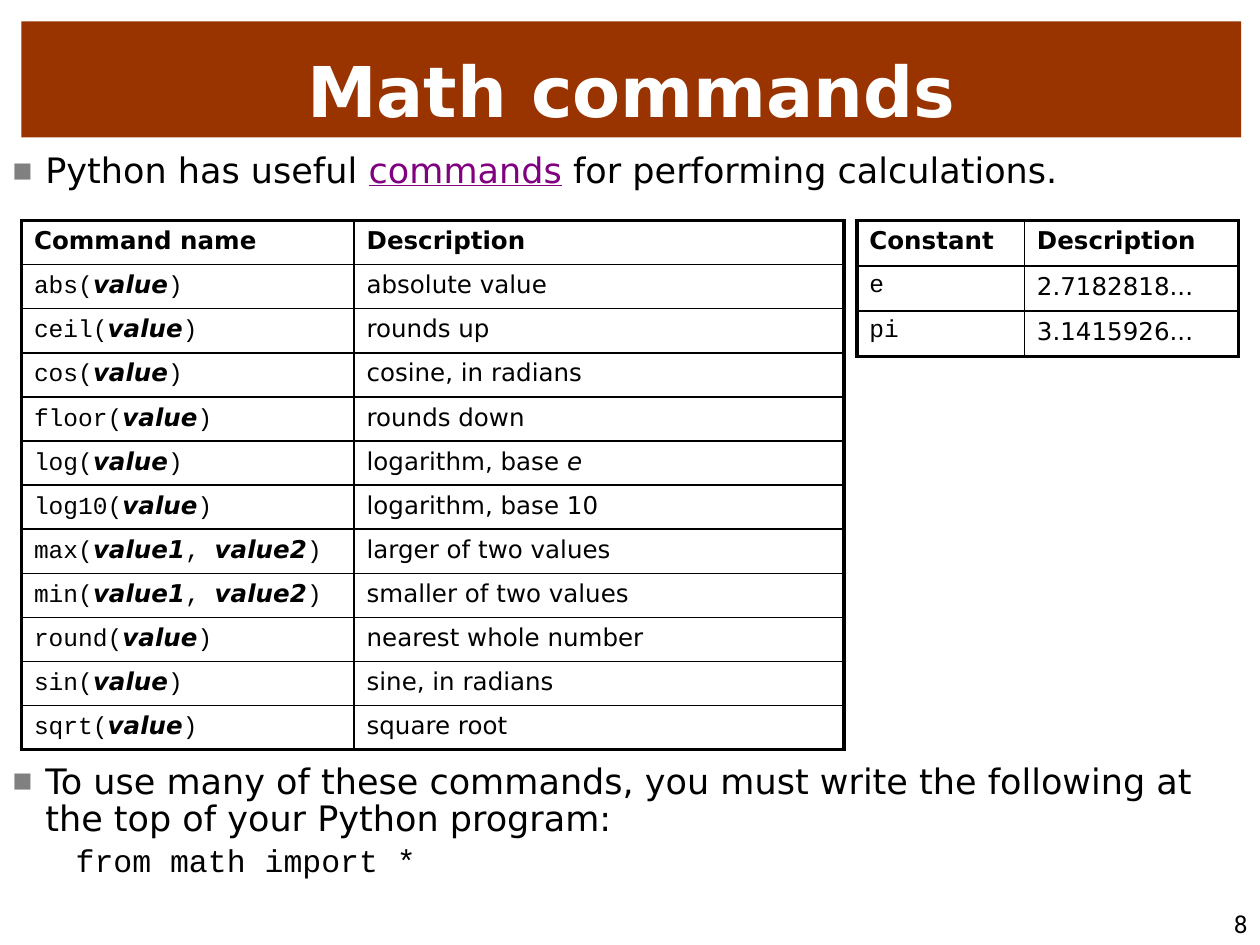
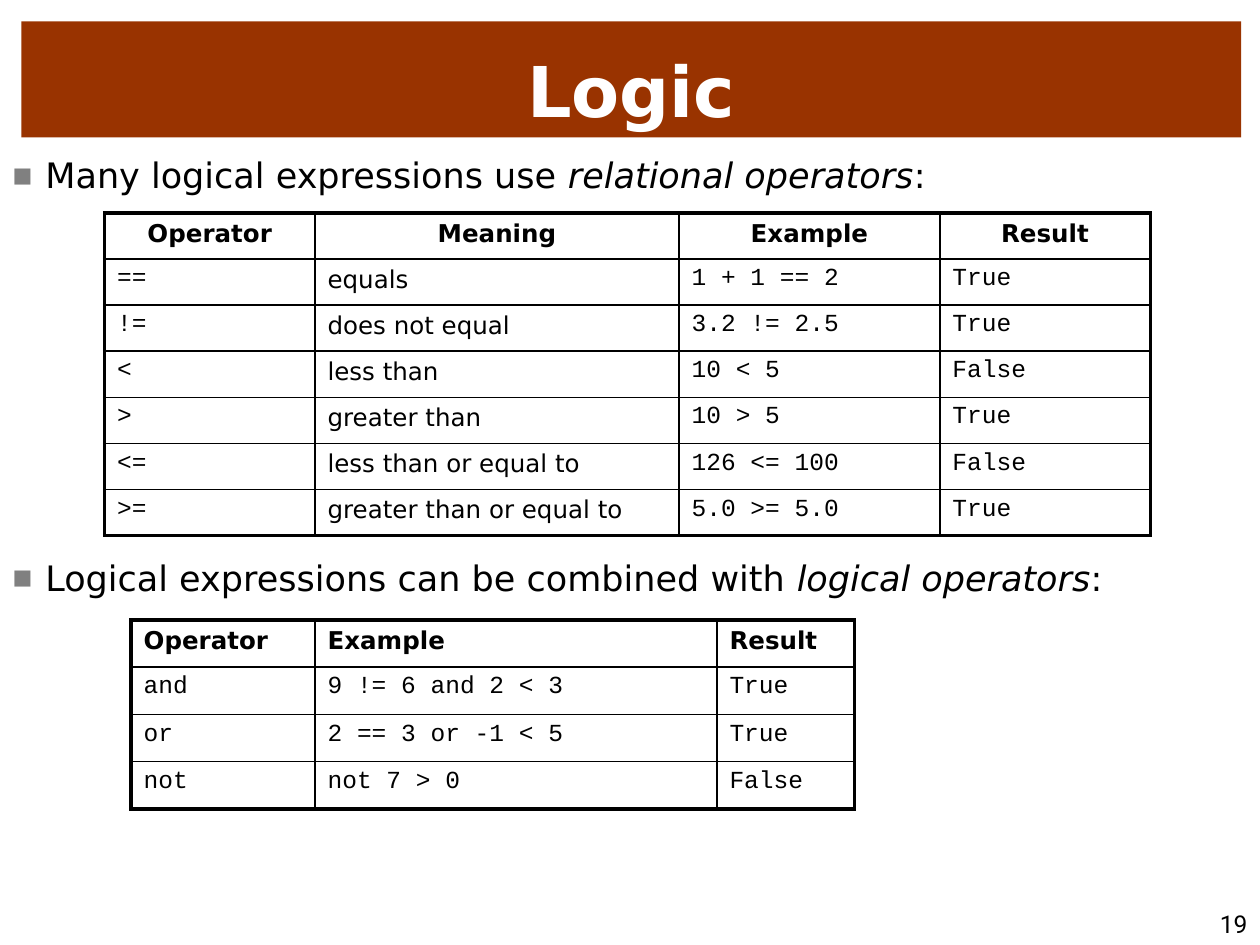
from pptx import Presentation
from pptx.dml.color import RGBColor
from pptx.enum import text as t
from pptx.oxml.ns import qn
from pptx.util import Inches, Pt
from lxml import etree

# Shared look
BAND = RGBColor(0x99, 0x33, 0x00)
WHITE = RGBColor(0xFF, 0xFF, 0xFF)
BLACK = RGBColor(0, 0, 0)
GRAY = RGBColor(0x80, 0x80, 0x80)
LINK = RGBColor(0x80, 0, 0x80)
SANS, MONO, NUMBER = "DejaVu Sans", "Courier New", "Roboto"
THICK, THIN = Pt(2.25), Pt(1)

# Run styles used in the content
PLAIN = dict(font=SANS)
CODE = dict(font=MONO)
BOLD = dict(font=SANS, bold=True)
ITALIC = dict(font=SANS, italic=True)
ARG = dict(font=SANS, bold=True, italic=True)
LINKED = dict(font=SANS, color=LINK, underline=True)


def call(name, *args):
    """Runs for a command such as max(value1, value2)."""
    runs = [(name + "(", CODE)]
    for i, arg in enumerate(args):
        if i:
            runs.append((", ", CODE))
        runs.append((arg, ARG))
    return runs + [(")", CODE)]


# Content: a cell is a string in its column's style, or a list of runs
COMMANDS = [
    (call("abs", "value"), "absolute value"),
    (call("ceil", "value"), "rounds up"),
    (call("cos", "value"), "cosine, in radians"),
    (call("floor", "value"), "rounds down"),
    (call("log", "value"), [("logarithm, base ", PLAIN), ("e", ITALIC)]),
    (call("log10", "value"), "logarithm, base 10"),
    (call("max", "value1", "value2"), "larger of two values"),
    (call("min", "value1", "value2"), "smaller of two values"),
    (call("round", "value"), "nearest whole number"),
    (call("sin", "value"), "sine, in radians"),
    (call("sqrt", "value"), "square root"),
]
CONSTANTS = [("e", "2.7182818..."), ("pi", "3.1415926...")]
RELATIONAL = [
    ("==", "equals", "1 + 1 == 2", "True"),
    ("!=", "does not equal", "3.2 != 2.5", "True"),
    ("<", "less than", "10 < 5", "False"),
    (">", "greater than", "10 > 5", "True"),
    ("<=", "less than or equal to", "126 <= 100", "False"),
    (">=", "greater than or equal to", "5.0 >= 5.0", "True"),
]
LOGICAL = [
    ("and", "9 != 6 and 2 < 3", "True"),
    ("or", "2 == 3 or -1 < 5", "True"),
    ("not", "not 7 > 0", "False"),
]

# Body paragraphs: (kind, space before in points, runs)
SLIDES = [
    dict(
        title="Math commands", number="8", line_spacing=0.9,
        body=[
            ("bullet", 0, [("Python has useful ", PLAIN), ("commands", LINKED),
                           (" for performing calculations.", PLAIN)]),
            ("bullet", 327, [("To use many of these commands, you must write the "
                              "following at the top of your Python program:", PLAIN)]),
            ("code", 3.6, [("from math import *", CODE)]),
        ],
        tables=[
            dict(left=0.17, top=1.75, row=0.35, cols=(2.64, 3.89),
                 styles=(CODE, PLAIN),
                 head=("Command name", "Description"), rows=COMMANDS),
            dict(left=6.8, top=1.75, row=0.36, cols=(1.33, 1.7),
                 styles=(CODE, PLAIN),
                 head=("Constant", "Description"), rows=CONSTANTS),
        ],
    ),
    dict(
        title="Logic", number="19", line_spacing=1.0,
        body=[
            ("bullet", 0, [("Many logical expressions use ", PLAIN),
                           ("relational operators", ITALIC), (":", PLAIN)]),
            ("bullet", 206, [("Logical expressions can be combined with ", PLAIN),
                             ("logical operators", ITALIC), (":", PLAIN)]),
        ],
        tables=[
            dict(left=1.04, top=4.92, row=0.375, cols=(1.46, 3.19, 1.09),
                 styles=(CODE, CODE, CODE),
                 head=("Operator", "Example", "Result"), rows=LOGICAL),
            dict(left=0.83, top=1.69, row=0.366, cols=(1.67, 2.89, 2.07, 1.67),
                 styles=(CODE, PLAIN, CODE, CODE), head_align=t.PP_ALIGN.CENTER,
                 head=("Operator", "Meaning", "Example", "Result"),
                 rows=RELATIONAL),
        ],
    ),
]


def place(shape, left, top, width, height):
    shape.left, shape.top = Inches(left), Inches(top)
    shape.width, shape.height = Inches(width), Inches(height)


def add_runs(p, runs, size):
    for words, style in runs:
        r = p.add_run()
        r.text = words
        f = r.font
        f.name, f.size = style["font"], Pt(size)
        f.bold = style.get("bold", False)
        f.italic = style.get("italic", False)
        f.underline = style.get("underline", False)
        f.color.rgb = style.get("color", BLACK)


def set_bullet(p, kind):
    pPr = p._p.get_or_add_pPr()
    if kind == "code":
        pPr.set("marL", str(Inches(0.76)))
        pPr.set("indent", str(Inches(-0.26)))
        etree.SubElement(pPr, qn("a:buNone"))
        return
    pPr.set("marL", str(Inches(0.26)))
    pPr.set("indent", str(Inches(-0.26)))
    color = etree.SubElement(pPr, qn("a:buClr"))
    etree.SubElement(color, qn("a:srgbClr"), val=str(GRAY))
    etree.SubElement(pPr, qn("a:buSzPct"), val="60000")
    etree.SubElement(pPr, qn("a:buFont"), typeface=SANS)
    etree.SubElement(pPr, qn("a:buChar"), char="\u25a0")


def set_border(cell, side, width):
    tcPr = cell._tc.get_or_add_tcPr()
    ln = etree.SubElement(tcPr, qn("a:ln" + side), w=str(width))
    fill = etree.SubElement(ln, qn("a:solidFill"))
    etree.SubElement(fill, qn("a:srgbClr"), val=str(BLACK))


def add_title(s, words):
    title = s.shapes.title
    place(title, 0.17, 0.17, 9.68, 0.92)
    title.fill.solid()
    title.fill.fore_color.rgb = BAND
    tf = title.text_frame
    tf.auto_size = t.MSO_AUTO_SIZE.NONE
    tf.vertical_anchor = t.MSO_ANCHOR.BOTTOM
    p = tf.paragraphs[0]
    p.alignment = t.PP_ALIGN.CENTER
    add_runs(p, [(words, dict(BOLD, color=WHITE))], 40)


def add_body(s, paragraphs, line_spacing):
    body = s.placeholders[1]
    place(body, 0, 1.17, 10, 6.08)
    tf = body.text_frame
    tf.auto_size = t.MSO_AUTO_SIZE.NONE
    for i, (kind, before, runs) in enumerate(paragraphs):
        p = tf.add_paragraph() if i else tf.paragraphs[0]
        p.level = 1 if kind == "code" else 0
        p.line_spacing = line_spacing
        p.space_before = Pt(before)
        set_bullet(p, kind)
        add_runs(p, runs, 18 if kind == "code" else 20)


def add_number(s, number):
    box = s.shapes.add_textbox(Inches(8.5), Inches(7), Inches(1.5), Inches(0.5))
    tf = box.text_frame
    tf.word_wrap = True
    tf.vertical_anchor = t.MSO_ANCHOR.BOTTOM
    p = tf.paragraphs[0]
    p.alignment = t.PP_ALIGN.RIGHT
    add_runs(p, [(number, dict(font=NUMBER))], 14)


def add_grid(s, left, top, row, cols, styles, head, rows,
             head_align=t.PP_ALIGN.LEFT):
    n_rows, n_cols = len(rows) + 1, len(cols)
    table = s.shapes.add_table(n_rows, n_cols, Inches(left), Inches(top),
                               Inches(sum(cols)), Inches(row * n_rows)).table
    table.first_row = table.horz_banding = False
    for column, width in zip(table.columns, cols):
        column.width = Inches(width)
    for i, values in enumerate([head] + rows):
        table.rows[i].height = Inches(row)
        for j, value in enumerate(values):
            cell = table.cell(i, j)
            p = cell.text_frame.paragraphs[0]
            p.alignment = t.PP_ALIGN.LEFT if i else head_align
            style = styles[j] if i else BOLD
            add_runs(p, [(value, style)] if isinstance(value, str) else value, 14)
            # Thick lines on the outer edge only
            edges = dict(L=j == 0, R=j == n_cols - 1, T=i == 0, B=i == n_rows - 1)
            for side, outer in edges.items():
                set_border(cell, side, THICK if outer else THIN)
            cell.fill.background()


prs = Presentation()
prs.slide_width, prs.slide_height = Inches(10), Inches(7.5)
for page in SLIDES:
    s = prs.slides.add_slide(prs.slide_layouts[1])
    add_number(s, page["number"])
    add_title(s, page["title"])
    add_body(s, page["body"], page["line_spacing"])
    for grid in page["tables"]:
        add_grid(s, **grid)
prs.save("out.pptx")
